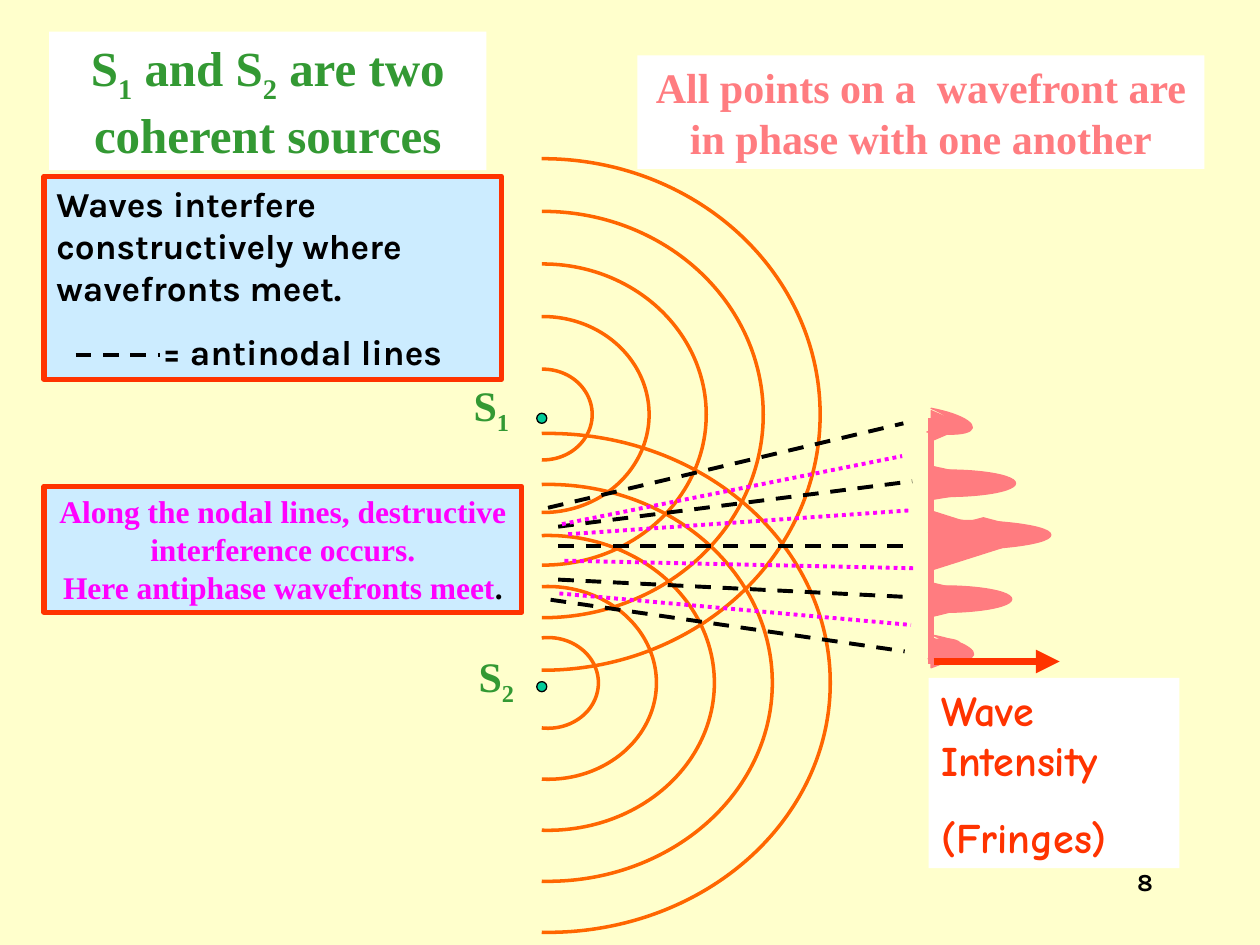
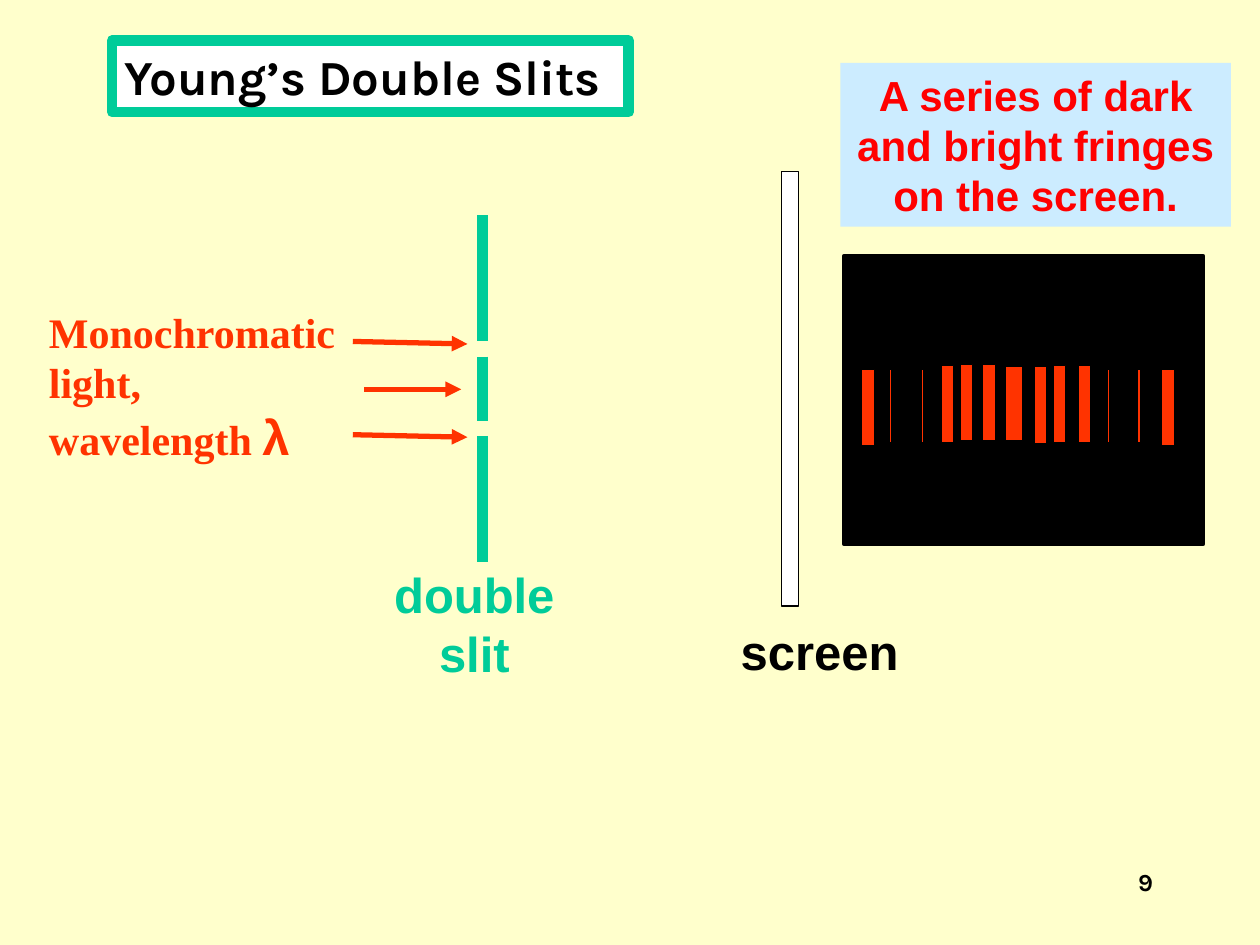
"""Build two slides on wave interference and Young's double slits."""
from math import atan2, degrees

from lxml.etree import SubElement
from pptx import Presentation
from pptx.dml.color import RGBColor
from pptx.enum.dml import MSO_LINE
from pptx.enum.shapes import MSO_CONNECTOR, MSO_SHAPE
from pptx.enum.text import MSO_ANCHOR, MSO_AUTO_SIZE, PP_ALIGN
from pptx.oxml.ns import qn
from pptx.util import Inches, Pt

CREAM, WHITE, BLACK, PALE_BLUE = "FFFFCC", "FFFFFF", "000000", "CCECFF"
GREEN, TEAL, SALMON, MAGENTA = "339933", "00CC99", "FF7C80", "FF00FF"
ORANGE, VERMILION, RED = "FF6600", "FF3300", "FF0000"
SERIF, SANS, KARLA, COMIC = "Times New Roman", "Arial", "Karla", "Comic Neue"
CENTER, RIGHT = PP_ALIGN.CENTER, PP_ALIGN.RIGHT
SUB = {"baseline": "-25000"}

SOURCES_TITLE = [[("S", {}), ("1", SUB), (" and S", {}), ("2", SUB),
                  (" are two coherent sources", {})]]
WAVEFRONT_NOTE = ["All points on a  wavefront are in phase with one another"]
CONSTRUCTIVE_NOTE = ["Waves interfere constructively where wavefronts meet.",
                     "= antinodal lines"]
NODAL_NOTE = ["Along the nodal lines, destructive interference occurs.",
              [("Here antiphase wavefronts meet", {}), (".", {"color": BLACK})]]
INTENSITY_LABEL = ["Wave Intensity", "(Fringes)"]
LIGHT_LABEL = [[("Monochromatic light, wavelength ", {}),
                ("λ", {"size": 28, "font": SANS})]]
FRINGE_NOTE = ["A series of dark and bright fringes on the screen."]

SOURCES = [
    {"number": "1", "center": (4.31, 3.29), "inner": (0.39, 0.36),
     "outer": (2.2, 2.03), "dot": (4.26, 3.28), "label": (3.66, 2.96)},
    {"number": "2", "center": (4.35, 5.42), "inner": (0.4, 0.36),
     "outer": (2.24, 1.98), "dot": (4.26, 5.41), "label": (3.7, 5.11)},
]
WAVEFRONTS = 5
WAVE_EDGE = 4.3
ANTINODAL = [((4.43, 4.33), (7.24, 4.33)), ((4.43, 4.18), (7.24, 3.82)),
             ((4.43, 4.6), (7.24, 4.74)), ((4.35, 4.03), (7.17, 3.36)),
             ((4.37, 4.76), (7.18, 5.17)), ((0.6, 2.82), (1.27, 2.82))]
NODAL = [((4.46, 4.16), (7.16, 3.62)), ((4.51, 4.24), (7.23, 4.05)),
         ((4.48, 4.45), (7.25, 4.51)), ((4.44, 4.71), (7.23, 4.96))]

INTENSITY_AXIS = 7.39
PEAKS = [(4.29, 0.47, 0.74), (3.82, 0.24, 0.55), (4.76, 0.27, 0.55),
         (5.18, 0.24, 0.32), (3.38, 0.24, 0.28), (3.86, 0.21, 0.64)]
CRESCENTS = [((7.6, 4.13, 0.74, 0.23), 180), ((7.52, 3.73, 0.54, 0.21), 180),
             ((7.49, 4.65, 0.54, 0.21), 180), ((7.38, 5.07, 0.35, 0.19), 190),
             ((7.37, 3.27, 0.35, 0.19), 190)]

SLIT_X = 3.83
SLIT_WALLS = [(1.71, 2.71), (2.83, 3.34), (3.46, 4.46)]
LIGHT_RAYS = [((2.8, 2.71), (3.71, 2.73)), ((2.89, 3.09), (3.66, 3.09)),
              ((2.8, 3.45), (3.71, 3.47))]
BRIGHT_FRINGES = [(6.84, 2.93), (7.47, 2.9), (7.62, 2.89), (7.8, 2.89),
                  (8.21, 2.91), (8.36, 2.9), (8.56, 2.9), (9.22, 2.93)]
FAINT_FRINGES = [7.07, 7.32, 8.8, 9.04]


def rgb(color):
    return RGBColor.from_string(color)


def place(item, box):
    item.left, item.top, item.width, item.height = map(Inches, box)


def paint(item, fill=None, line=None, weight=0.75):
    if fill:
        item.fill.solid()
        item.fill.fore_color.rgb = rgb(fill)
    else:
        item.fill.background()
    if line:
        item.line.color.rgb = rgb(line)
        item.line.width = Pt(weight)
    else:
        item.line.fill.background()


def add_shape(slide, kind, box, fill=None, line=None, weight=0.75, rotation=0):
    shape = slide.shapes.add_shape(kind, *map(Inches, box))
    shape.shadow.inherit = False
    shape.rotation = rotation
    paint(shape, fill, line, weight)
    return shape


def add_line(slide, start, end, color, weight, dash=None, arrow=False):
    line = slide.shapes.add_connector(MSO_CONNECTOR.STRAIGHT,
                                      *map(Inches, (*start, *end)))
    line.line.color.rgb = rgb(color)
    line.line.width = Pt(weight)
    if dash:
        line.line.dash_style = dash
    if arrow:
        SubElement(line.line._get_or_add_ln(), qn("a:tailEnd"), type="triangle")
    SubElement(line._element.spPr, qn("a:effectLst"))


def write(holder, paragraphs, size, font, color, align=PP_ALIGN.LEFT, gap=0, wrap=True):
    frame = holder.text_frame
    frame.word_wrap = wrap
    frame.auto_size = MSO_AUTO_SIZE.NONE
    frame.vertical_anchor = MSO_ANCHOR.TOP
    for index, content in enumerate(paragraphs):
        paragraph = frame.add_paragraph() if index else frame.paragraphs[0]
        paragraph.alignment = align
        if index:
            paragraph.space_before = Pt(gap)
        pieces = [(content, {})] if isinstance(content, str) else content
        for words, style in pieces:
            run = paragraph.add_run()
            run.text = words
            run.font.size = Pt(style.get("size", size))
            run.font.name = style.get("font", font)
            run.font.bold = True
            run.font.color.rgb = rgb(style.get("color", color))
            if "baseline" in style:
                run._r.get_or_add_rPr().set("baseline", style["baseline"])


def add_label(slide, box, paragraphs, size, font, color, **layout):
    label = slide.shapes.add_textbox(*map(Inches, box))
    write(label, paragraphs, size, font, color, **layout)


def add_panel(slide, box, paragraphs, size, font, color, fill, line=None, **layout):
    panel = add_shape(slide, MSO_SHAPE.RECTANGLE, box, fill, line, 3)
    write(panel, paragraphs, size, font, color, **layout)
    return panel


def new_slide(prs, number):
    slide = prs.slides.add_slide(prs.slide_layouts[5])
    add_label(slide, (7.17, 6.83, 2.08, 0.5), [number], 14, KARLA, BLACK, align=RIGHT)
    return slide


def add_wave_source(slide, source):
    x, y = source["center"]
    for ring in range(WAVEFRONTS):
        share = ring / (WAVEFRONTS - 1)
        rx, ry = (a + (b - a) * share for a, b in zip(source["inner"], source["outer"]))
        arc = add_shape(slide, MSO_SHAPE.ARC, (x - rx, y - ry, 2 * rx, 2 * ry),
                        line=ORANGE, weight=2)
        overshoot = degrees(atan2(x - WAVE_EDGE, ry))
        arc.adjustments[0] = (270 - overshoot) * 0.6
        arc.adjustments[1] = (90 + overshoot) * 0.6
    add_shape(slide, MSO_SHAPE.OVAL, (*source["dot"], 0.08, 0.08), TEAL, BLACK)
    add_label(slide, (*source["label"], 0.52, 0.56),
              [[("S", {}), (source["number"], SUB)]], 24, SERIF, GREEN)


def add_intensity(slide):
    add_line(slide, (INTENSITY_AXIS, 3.32), (INTENSITY_AXIS, 5.27), SALMON, 3)
    for y, base, reach in PEAKS:
        box = (INTENSITY_AXIS + (reach - base) / 2, y - reach / 2, base, reach)
        add_shape(slide, MSO_SHAPE.ISOSCELES_TRIANGLE, box, SALMON, SALMON, rotation=90)
    for box, rotation in CRESCENTS:
        add_shape(slide, MSO_SHAPE.MOON, box, SALMON, SALMON, rotation=rotation)
    add_shape(slide, MSO_SHAPE.FLOWCHART_DECISION, (7.37, 4.11, 0.87, 0.23), SALMON, SALMON)
    add_shape(slide, MSO_SHAPE.OVAL, (7.37, 5.07, 0.25, 0.08), SALMON, SALMON)
    add_line(slide, (7.41, 5.25), (8.41, 5.25), VERMILION, 4.5, arrow=True)
    add_panel(slide, (7.37, 5.38, 1.99, 1.51), INTENSITY_LABEL, 24, COMIC, VERMILION,
              WHITE, gap=15)


def build_interference(prs):
    slide = new_slide(prs, "8")
    title = slide.shapes.title
    place(title, (0.39, 0.25, 3.47, 1.1))
    paint(title, WHITE)
    write(title, SOURCES_TITLE, 28, SERIF, GREEN, align=CENTER)
    for source in SOURCES:
        add_wave_source(slide, source)
    add_panel(slide, (5.06, 0.44, 4.5, 0.9), WAVEFRONT_NOTE, 24, SERIF, SALMON, WHITE,
              align=CENTER)
    constructive = add_panel(slide, (0.35, 1.4, 3.63, 1.61), CONSTRUCTIVE_NOTE, 20, KARLA,
                             BLACK, PALE_BLUE, VERMILION, gap=12.5)
    legend = constructive.text_frame.paragraphs[1]
    legend._p.get_or_add_pPr().set("marL", str(Inches(0.84)))
    for start, end in ANTINODAL:
        add_line(slide, start, end, BLACK, 2.25, MSO_LINE.DASH)
    for start, end in NODAL:
        add_line(slide, start, end, MAGENTA, 2.25, MSO_LINE.ROUND_DOT)
    add_panel(slide, (0.35, 3.86, 3.79, 1), NODAL_NOTE, 18, SERIF, MAGENTA, PALE_BLUE,
              VERMILION, align=CENTER)
    add_intensity(slide)


def add_fringe_pattern(slide):
    add_shape(slide, MSO_SHAPE.RECTANGLE, (6.7, 2.03, 2.85, 2.29), BLACK, BLACK, 2.25)
    bars = [(x, y, 0.1, 0.61) for x, y in BRIGHT_FRINGES] + [(7.98, 2.91, 0.14, 0.59)]
    for bar in bars:
        add_shape(slide, MSO_SHAPE.RECTANGLE, bar, VERMILION, BLACK)
    for x in FAINT_FRINGES:
        add_line(slide, (x, 2.94), (x, 3.51), VERMILION, 0.75)


def build_double_slits(prs):
    slide = new_slide(prs, "9")
    title = slide.shapes.title
    place(title, (0.89, 0.32, 4.1, 0.57))
    paint(title, WHITE, TEAL, 6)
    write(title, ["Young’s Double Slits"], 28, KARLA, BLACK)
    add_shape(slide, MSO_SHAPE.RECTANGLE, (6.2, 1.36, 0.14, 3.45), WHITE, BLACK)
    add_label(slide, (3.03, 4.43, 1.47, 1.04), ["double", "slit"], 28, SANS, TEAL,
              align=CENTER, wrap=False)
    add_label(slide, (5.78, 4.88, 1.45, 0.57), ["screen"], 28, SANS, BLACK, wrap=False)
    for top, bottom in SLIT_WALLS:
        add_line(slide, (SLIT_X, top), (SLIT_X, bottom), TEAL, 6)
    add_label(slide, (0.29, 2.38, 2.59, 1.37), LIGHT_LABEL, 24, SERIF, VERMILION)
    for start, end in LIGHT_RAYS:
        add_line(slide, start, end, VERMILION, 3, arrow=True)
    add_fringe_pattern(slide)
    add_panel(slide, (6.67, 0.5, 3.1, 1.3), FRINGE_NOTE, 24, SANS, RED, PALE_BLUE,
              align=CENTER)


def main():
    prs = Presentation()
    prs.slide_width, prs.slide_height = Inches(10), Inches(7.5)
    backdrop = prs.slide_master.background.fill
    backdrop.solid()
    backdrop.fore_color.rgb = rgb(CREAM)
    build_interference(prs)
    build_double_slits(prs)
    prs.save("out.pptx")


if __name__ == "__main__":
    main()
